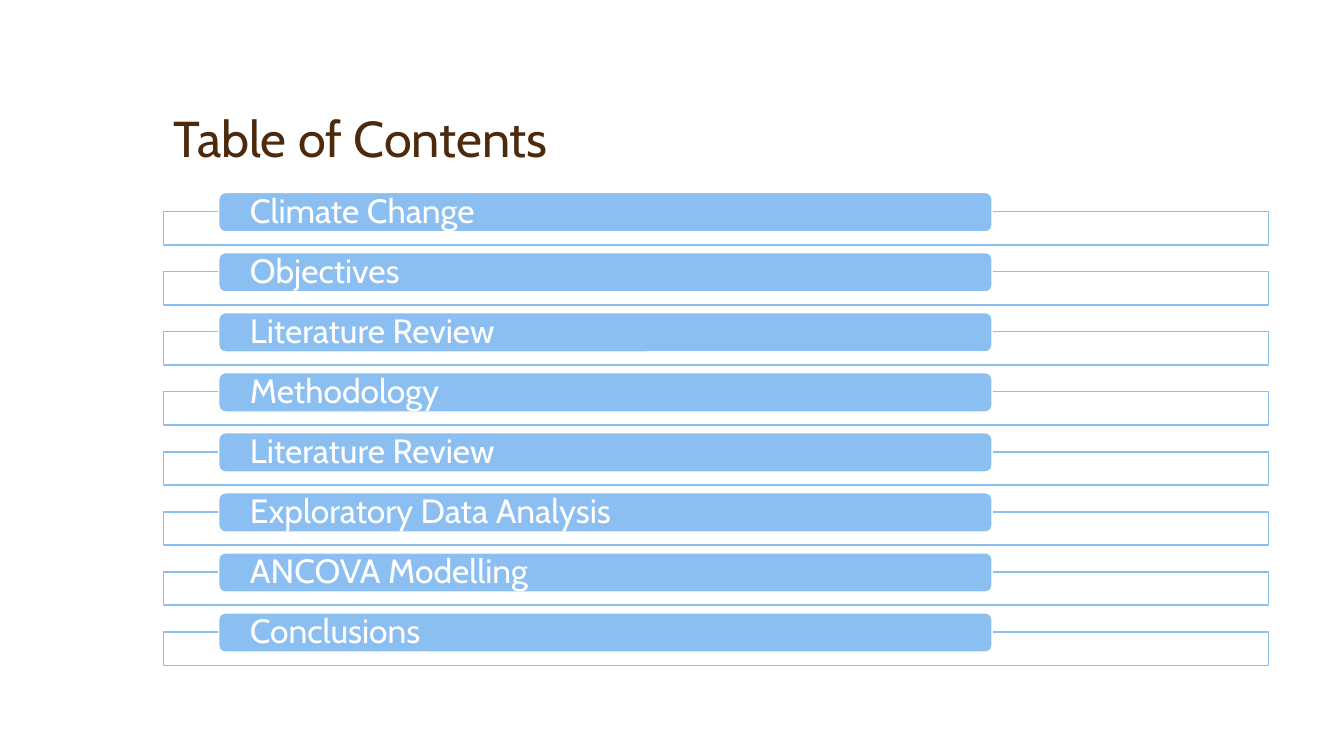
from lxml import etree
from pptx import Presentation
from pptx.dml.color import RGBColor
from pptx.enum.shapes import MSO_SHAPE
from pptx.enum.text import MSO_ANCHOR, PP_ALIGN
from pptx.oxml.ns import qn
from pptx.util import Inches, Pt

RECTANGLE = MSO_SHAPE.RECTANGLE
ROUNDED = MSO_SHAPE.ROUNDED_RECTANGLE
MIDDLE, BOTTOM = MSO_ANCHOR.MIDDLE, MSO_ANCHOR.BOTTOM
LEFT = PP_ALIGN.LEFT
TITLE_ONLY = 5

FONT = "Cabin"
COLORS = {"title": "4D2A0B", "bar": "8BBEF1", "white": "FFFFFF"}
TOPICS = [
    "Climate Change",
    "Objectives",
    "Literature Review",
    "Methodology",
    "Literature Review",
    "Exploratory Data Analysis",
    "ANCOVA Modelling",
    "Conclusions",
]

# Frames are spread evenly between the first and last top edge
MARGIN, CONTENT_WIDTH = 1.62, 10.96
FIRST_TOP, LAST_TOP = 2.1, 6.27
PITCH = (LAST_TOP - FIRST_TOP) / (len(TOPICS) - 1)


def color(name):
    return RGBColor.from_string(COLORS[name])


def write(box, text, size, color_name, anchor):
    frame = box.text_frame
    frame.word_wrap = True
    frame.vertical_anchor = anchor
    para = frame.paragraphs[0]
    para.text = text
    para.alignment = LEFT
    para.line_spacing = 0.9
    para.font.name = FONT
    para.font.size = Pt(size)
    para.font.color.rgb = color(color_name)


def add_title(page, text):
    title = page.shapes.title
    title.left, title.top = Inches(MARGIN), Inches(-0.2)
    title.width, title.height = Inches(CONTENT_WIDTH), Inches(1.92)
    write(title, text, 36, "title", BOTTOM)


def add_box(page, kind, left, top, width, height, fill, line):
    box = page.shapes.add_shape(
        kind, Inches(left), Inches(top), Inches(width), Inches(height))
    box.shadow.inherit = False
    box.fill.solid()
    box.fill.fore_color.rgb = color(fill)
    box.line.color.rgb = color(line)
    box.line.width = Pt(1)
    return box


def set_opacity(box, percent):
    fill_color = box._element.spPr.find(qn("a:solidFill"))[0]
    etree.SubElement(fill_color, qn("a:alpha"), val=str(percent * 1000))


def add_topic(page, text, top):
    # Outlined frame behind the bar
    frame = add_box(page, RECTANGLE, MARGIN, top, CONTENT_WIDTH, 0.33,
                    "white", "bar")
    set_opacity(frame, 90)

    # Labelled bar across the frame's top edge
    bar = add_box(page, ROUNDED, 2.17, top - 0.19, 7.67, 0.39, "bar", "white")
    bar.text_frame.margin_left = bar.text_frame.margin_right = Inches(0.29)
    bar.text_frame.margin_top = bar.text_frame.margin_bottom = 0
    write(bar, text, 24, "white", MIDDLE)


def main():
    deck = Presentation()
    deck.slide_width, deck.slide_height = Inches(13.33), Inches(7.5)
    page = deck.slides.add_slide(deck.slide_layouts[TITLE_ONLY])

    add_title(page, "Table of Contents")
    for index, topic in enumerate(TOPICS):
        add_topic(page, topic, FIRST_TOP + index * PITCH)

    deck.save("out.pptx")


if __name__ == "__main__":
    main()
